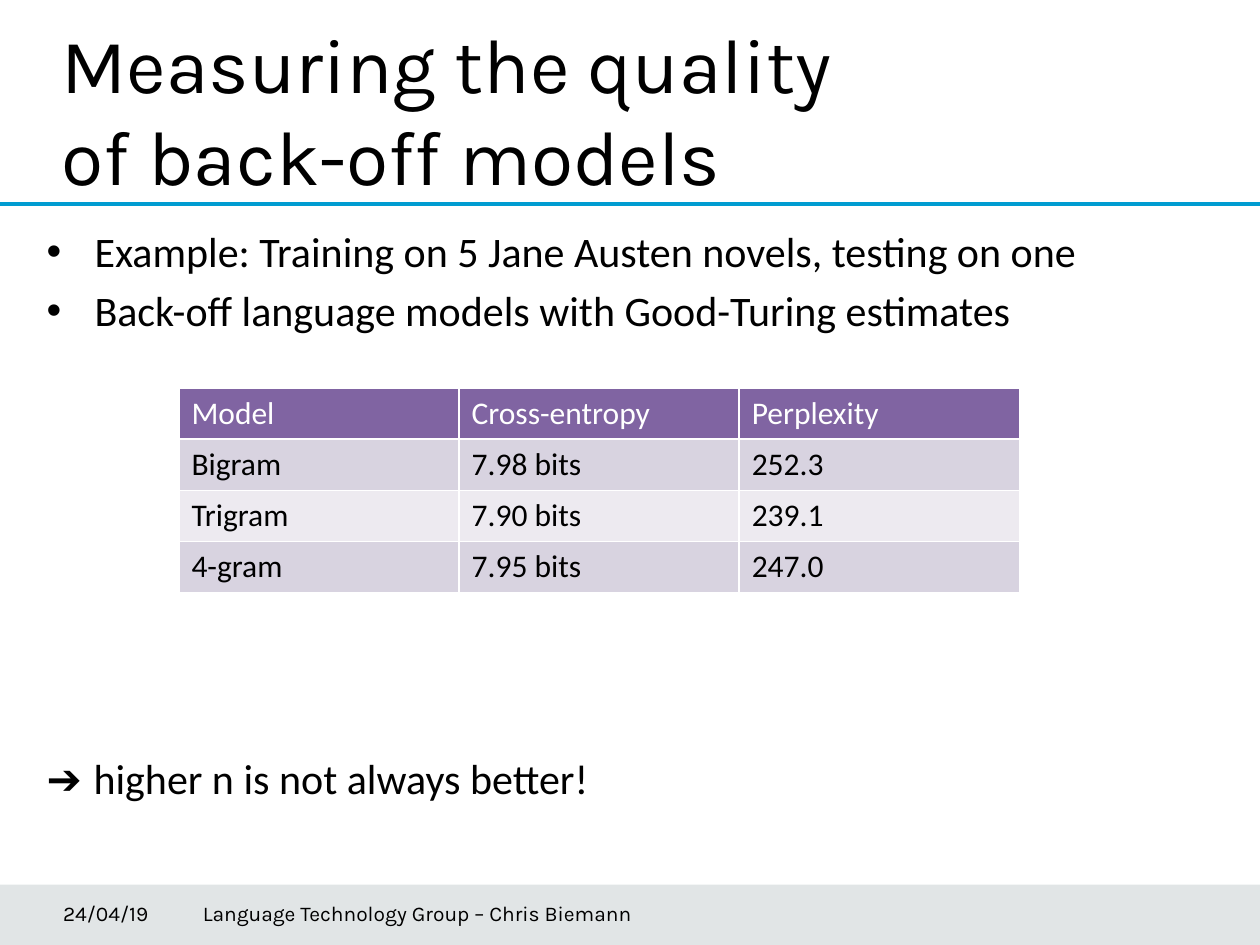
from lxml import etree
from pptx import Presentation
from pptx.dml.color import RGBColor
from pptx.enum import shapes, text
from pptx.oxml import ns
from pptx.util import Inches, Pt

BLACK = RGBColor(0x00, 0x00, 0x00)
WHITE = RGBColor(0xFF, 0xFF, 0xFF)
SLATE = RGBColor(0x3B, 0x51, 0x5B)
BLUE = RGBColor(0x00, 0x9C, 0xD1)
PURPLE = RGBColor(0x80, 0x64, 0xA2)
BANDS = [RGBColor(0xD8, 0xD3, 0xE0), RGBColor(0xED, 0xEA, 0xF0)]


def write(p, content, font="Calibri", size=24, color=BLACK, before=0, bullet=None):
    """Fill a paragraph; a vertical tab in the content is a line break."""
    pPr = p._p.get_or_add_pPr()
    indent = Inches(0.38) if bullet else 0
    pPr.set("marL", str(indent))
    pPr.set("indent", str(-indent))
    p.alignment = text.PP_ALIGN.LEFT
    p.space_before = Pt(before)
    if bullet:
        etree.SubElement(pPr, ns.qn("a:buFont")).set("typeface", "Arial")
        etree.SubElement(pPr, ns.qn("a:buChar")).set("char", bullet)
    else:
        etree.SubElement(pPr, ns.qn("a:buNone"))
    p.text = content
    for r in p.runs:
        r.font.name, r.font.size = font, Pt(size)
        r.font.color.rgb = color


def border(cell, color, width):
    """Draw all four borders of a table cell."""
    tcPr = cell._tc.get_or_add_tcPr()
    for i, side in enumerate(("lnL", "lnR", "lnT", "lnB")):
        ln = etree.Element(ns.qn("a:" + side), w=str(Pt(width)))
        fill = etree.SubElement(ln, ns.qn("a:solidFill"))
        etree.SubElement(fill, ns.qn("a:srgbClr"), val=str(color))
        tcPr.insert(i, ln)


prs = Presentation()
prs.slide_width, prs.slide_height = Inches(10), Inches(7.5)
s = prs.slides.add_slide(prs.slide_layouts[1])

# Footer band
band = s.shapes.add_shape(shapes.MSO_SHAPE.RECTANGLE,
                          Inches(0), Inches(7.02), Inches(10), Inches(0.48))
band.shadow.inherit = False
band.line.fill.background()
band.fill.solid()
band.fill.fore_color.rgb = SLATE
clr = band._element.spPr.find(".//" + ns.qn("a:srgbClr"))
etree.SubElement(clr, ns.qn("a:alpha"), val="15000")

# Rule under the title
rule = s.shapes.add_connector(shapes.MSO_CONNECTOR.STRAIGHT,
                              Inches(0), Inches(1.62), Inches(10), Inches(1.62))
rule.line.color.rgb = BLUE
rule.line.width = Pt(2)
etree.SubElement(rule._element.spPr, ns.qn("a:effectLst"))

# Title
title = s.shapes.title
title.left, title.top, title.width, title.height = map(Inches, (0.39, 0.08, 7.52, 0.92))
tf = title.text_frame
tf.auto_size = text.MSO_AUTO_SIZE.NONE
tf.vertical_anchor = text.MSO_ANCHOR.TOP
write(tf.paragraphs[0], "Measuring the quality\vof back-off models", font="Karla", size=44)

# Body
body = s.placeholders[1]
body.left, body.top, body.width, body.height = map(Inches, (0.27, 1.74, 9.45, 5.24))
tf = body.text_frame
tf.auto_size = text.MSO_AUTO_SIZE.NONE
write(tf.paragraphs[0], "Example: Training on 5 Jane Austen novels, testing on one", bullet="•")
write(tf.add_paragraph(), "Back-off language models with Good-Turing estimates",
      before=4.8, bullet="•")
p = tf.add_paragraph()
write(p, "➔ ", font="Arial", before=239)
r = p.add_run()
r.text = "higher n is not always better!"
r.font.name, r.font.size = "Calibri", Pt(24)
r.font.color.rgb = BLACK

# Results table
rows = [
    ("Model", "Cross-entropy", "Perplexity"),
    ("Bigram", "7.98 bits", "252.3"),
    ("Trigram", "7.90 bits", "239.1"),
    ("4-gram", "7.95 bits", "247.0"),
]
table = s.shapes.add_table(len(rows), 3, Inches(1.42), Inches(3.08),
                           Inches(6.67), Inches(1.62)).table
for i, row in enumerate(rows):
    for j, value in enumerate(row):
        cell = table.cell(i, j)
        cell.fill.solid()
        cell.fill.fore_color.rgb = BANDS[(i - 1) % 2] if i else PURPLE
        border(cell, WHITE, 1)
        p = cell.text_frame.paragraphs[0]
        write(p, value, size=18, color=BLACK if i else WHITE)
        p.runs[0].font.bold = False

# Date and group in the footer
for left, width, label in [(0.5, 0.99, "24/04/19"),
                           (1.61, 4.91, "Language Technology Group – Chris Biemann")]:
    tf = s.shapes.add_textbox(Inches(left), Inches(7.05), Inches(width), Inches(0.4)).text_frame
    tf.word_wrap = True
    tf.vertical_anchor = text.MSO_ANCHOR.MIDDLE
    tf.margin_left = 0
    write(tf.paragraphs[0], label, font="Karla", size=12)

prs.save("out.pptx")
